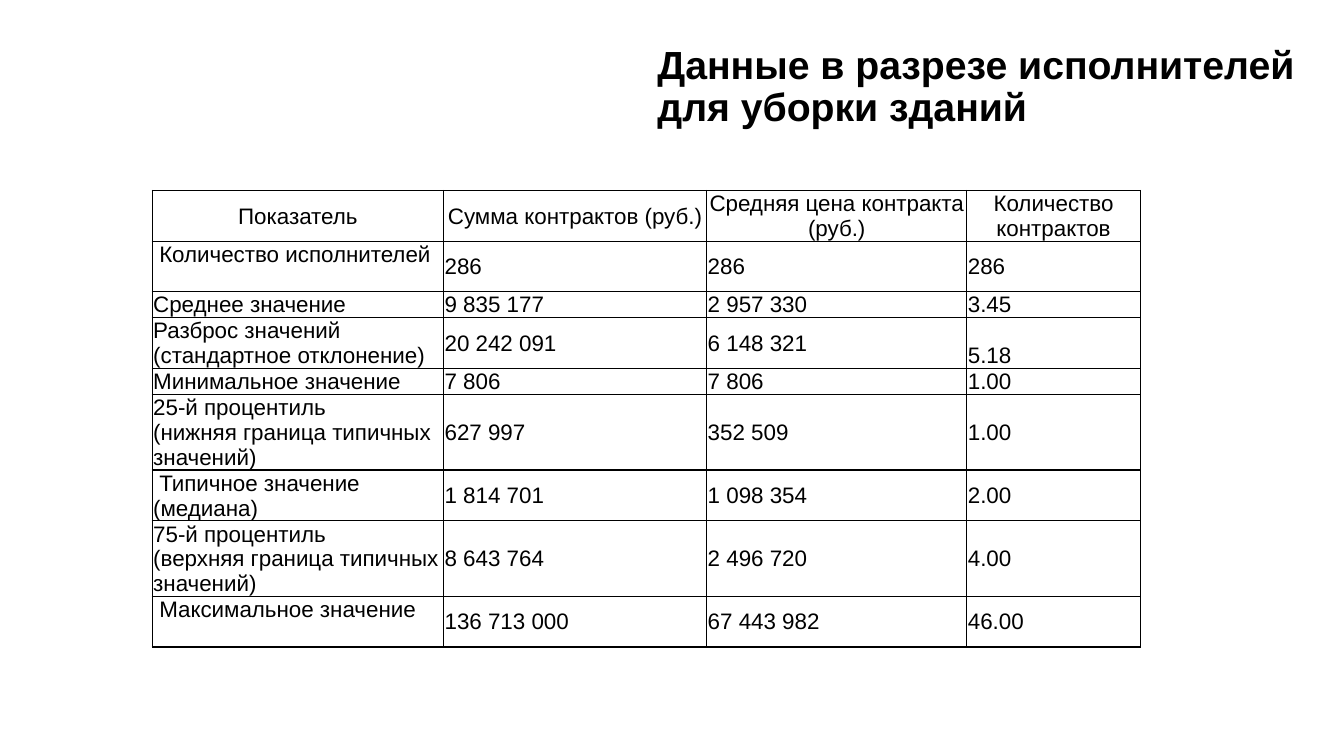
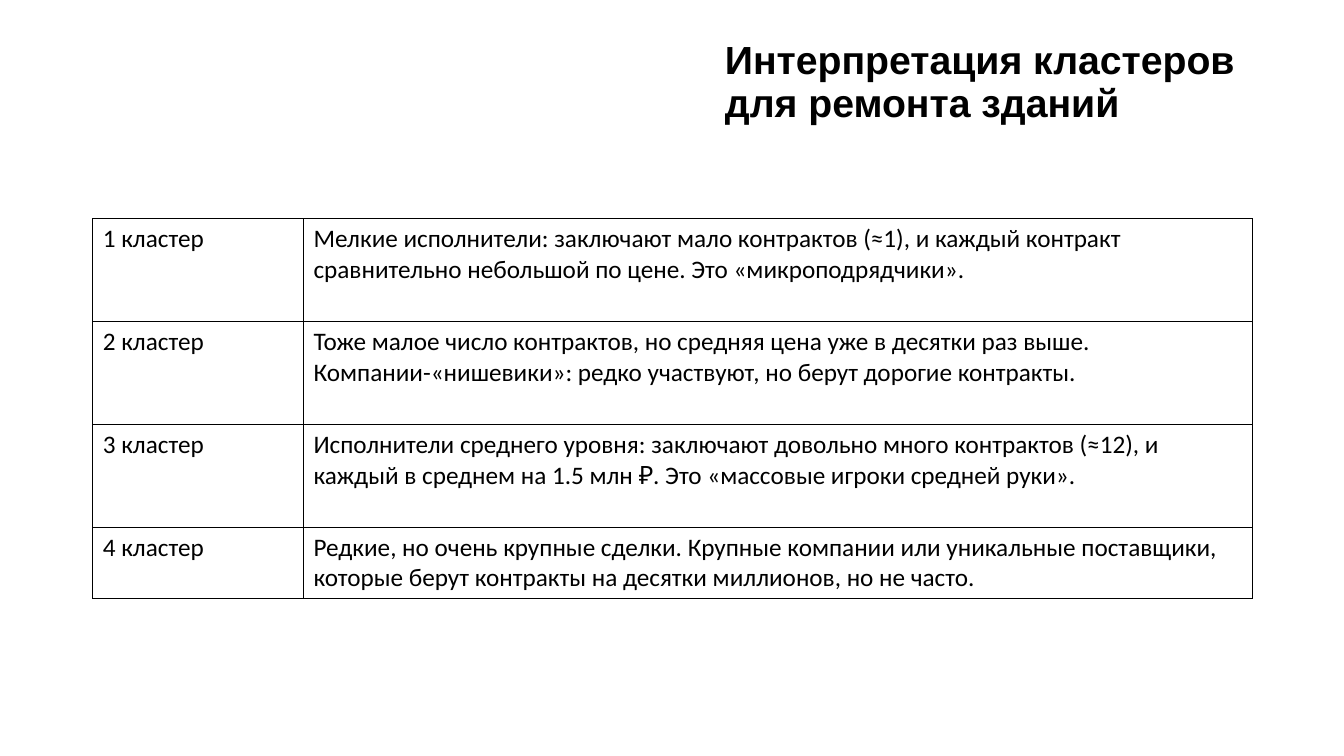
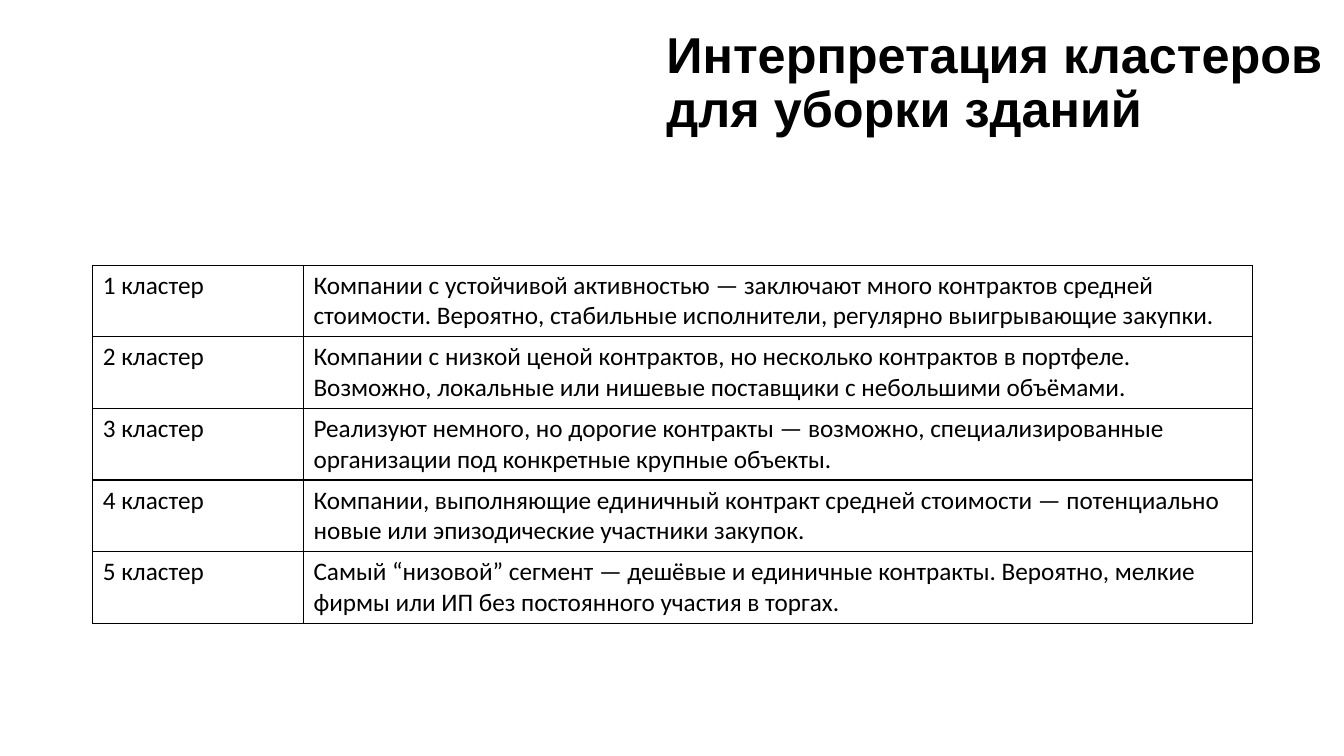
import lxml.etree
import pptx
import pptx.dml.color
import pptx.enum.text
import pptx.oxml
import pptx.oxml.ns
import pptx.util

Inches = pptx.util.Inches
Pt = pptx.util.Pt
Anchor = pptx.enum.text.MSO_ANCHOR
Align = pptx.enum.text.PP_ALIGN

INK = "000000"
TITLE_FONT = {"name": "Arial", "bold": True}
METRIC_FONT = {"name": "Arial", "size": Pt(16)}
CLUSTER_FONT = {"name": "Calibri", "size": Pt(18)}
TIGHT_MARGINS = {
    "margin_left": Inches(0.01),
    "margin_right": Inches(0.01),
    "margin_top": Inches(0.01),
    "margin_bottom": 0,
}
METRIC_LINE = 0.25
CLUSTER_LEFT = 0.92
CLUSTER_WIDTHS = [2.09, 9.41]

METRICS = [
    ["Показатель", "Сумма контрактов (руб.)", "Средняя цена контракта (руб.)", "Количество контрактов"],
    ["Количество исполнителей", "286", "286", "286"],
    ["Среднее значение", "9 835 177", "2 957 330", "3.45"],
    ["Разброс значений\n(стандартное отклонение)", "20 242 091", "6 148 321", "5.18"],
    ["Минимальное значение", "7 806", "7 806", "1.00"],
    ["25-й процентиль\n(нижняя граница типичных значений)", "627 997", "352 509", "1.00"],
    ["Типичное значение (медиана)", "1 814 701", "1 098 354", "2.00"],
    ["75-й процентиль\n(верхняя граница типичных значений)", "8 643 764", "2 496 720", "4.00"],
    ["Максимальное значение", "136 713 000", "67 443 982", "46.00"],
]
METRIC_LINES = [2, 2, 1, 2, 1, 3, 2, 3, 2]
METRIC_ANCHORS = {(1, 0): Anchor.TOP, (8, 0): Anchor.TOP, (3, 3): Anchor.BOTTOM}
INDENTED_METRICS = [1, 6, 8]

REPAIR_CLUSTERS = [
    "Мелкие исполнители: заключают мало контрактов (≈1), и каждый контракт сравнительно небольшой по цене. Это «микроподрядчики».",
    "Тоже малое число контрактов, но средняя цена уже в десятки раз выше. Компании-«нишевики»: редко участвуют, но берут дорогие контракты.",
    "Исполнители среднего уровня: заключают довольно много контрактов (≈12), и каждый в среднем на 1.5 млн ₽. Это «массовые игроки средней руки».",
    "Редкие, но очень крупные сделки. Крупные компании или уникальные поставщики, которые берут контракты на десятки миллионов, но не часто.",
]
CLEANING_CLUSTERS = [
    "Компании с устойчивой активностью — заключают много контрактов средней стоимости. Вероятно, стабильные исполнители, регулярно выигрывающие закупки.",
    "Компании с низкой ценой контрактов, но несколько контрактов в портфеле. Возможно, локальные или нишевые поставщики с небольшими объёмами.",
    "Реализуют немного, но дорогие контракты — возможно, специализированные организации под конкретные крупные объекты.",
    "Компании, выполняющие единичный контракт средней стоимости — потенциально новые или эпизодические участники закупок.",
    "Самый “низовой” сегмент — дешёвые и единичные контракты. Вероятно, мелкие фирмы или ИП без постоянного участия в торгах.",
]


def rgb(value):
    """Turn a hex string into a colour."""
    return pptx.dml.color.RGBColor.from_string(value)


def apply(target, values):
    """Set each attribute of the target from a dict."""
    for attribute, value in values.items():
        setattr(target, attribute, value)


def style_font(font, values):
    """Apply font values in the ink colour."""
    apply(font, values)
    font.color.rgb = rgb(INK)


def add_titled_slide(deck, heading, box, size):
    """Add a title-only slide with its heading in the given box."""
    slide = deck.slides.add_slide(deck.slide_layouts[5])
    title = slide.shapes.title
    apply(title, dict(zip(("left", "top", "width", "height"), map(Inches, box))))
    frame = title.text_frame
    frame.text = heading
    apply(frame, {
        "word_wrap": True,
        "auto_size": pptx.enum.text.MSO_AUTO_SIZE.NONE,
        "vertical_anchor": Anchor.MIDDLE,
    })
    paragraph = frame.paragraphs[0]
    apply(paragraph, {"alignment": Align.LEFT, "line_spacing": 0.9})
    for run in paragraph.runs:
        style_font(run.font, {**TITLE_FONT, "size": Pt(size)})
    return slide


def outline_cell(cell):
    """Draw a one-point line on every side of a cell."""
    properties = cell._tc.get_or_add_tcPr()
    for side in ("lnL", "lnR", "lnT", "lnB"):
        border = lxml.etree.SubElement(properties, pptx.oxml.ns.qn(f"a:{side}"), w=str(Pt(1)))
        fill = lxml.etree.SubElement(border, pptx.oxml.ns.qn("a:solidFill"))
        lxml.etree.SubElement(fill, pptx.oxml.ns.qn("a:srgbClr"), val=INK)


def add_grid(slide, left, top, widths, heights, rows, font, cell_format):
    """Add a plain outlined table and return it."""
    frame = slide.shapes.add_table(
        len(rows), len(widths), Inches(left), Inches(top), Inches(sum(widths)), Inches(sum(heights))
    )
    table = frame.table
    apply(table, {"first_row": False, "horz_banding": False})
    for column, width in zip(table.columns, widths):
        column.width = Inches(width)
    for row, height, texts in zip(table.rows, heights, rows):
        row.height = Inches(height)
        for cell, text in zip(row.cells, texts):
            cell.text = text
            apply(cell, cell_format)
            outline_cell(cell)
            cell.fill.background()
            for paragraph in cell.text_frame.paragraphs:
                for run in paragraph.runs:
                    style_font(run.font, font)
    return table


def add_metrics_slide(deck, heading, title_box, left, top, widths):
    """Add the slide of contract statistics."""
    slide = add_titled_slide(deck, heading, title_box, 28)
    heights = [lines * METRIC_LINE for lines in METRIC_LINES]
    cell_format = {**TIGHT_MARGINS, "vertical_anchor": Anchor.MIDDLE}
    table = add_grid(slide, left, top, widths, heights, METRICS, METRIC_FONT, cell_format)
    for cell in table.rows[0].cells:
        cell.text_frame.paragraphs[0].alignment = Align.CENTER
    for position, anchor in METRIC_ANCHORS.items():
        table.cell(*position).vertical_anchor = anchor
    for row in INDENTED_METRICS:
        paragraph = table.cell(row, 0).text_frame.paragraphs[0]
        paragraph._p.get_or_add_pPr().set("indent", str(Inches(0.06)))


def add_cluster_slide(deck, heading, title_box, title_size, top, heights, descriptions):
    """Add a slide that describes numbered clusters."""
    slide = add_titled_slide(deck, heading, title_box, title_size)
    rows = [[f"{number} кластер", text] for number, text in enumerate(descriptions, 1)]
    add_grid(slide, CLUSTER_LEFT, top, CLUSTER_WIDTHS, heights, rows, CLUSTER_FONT,
             {"vertical_anchor": Anchor.TOP})


def main():
    """Build and save the deck."""
    deck = pptx.Presentation()
    apply(deck, {"slide_width": Inches(13.33), "slide_height": Inches(7.5)})
    add_metrics_slide(deck, "Данные в разрезе исполнителей для уборки зданий",
                      (6.42, 0.32, 6.73, 1.1), 1.51, 1.89, [2.89, 2.61, 2.58, 1.72])
    add_cluster_slide(deck, "Интерпретация кластеров\vдля ремонта зданий",
                      (7.09, 0.34, 6.92, 0.97), 28, 2.17, [1.02] * 3 + [0.71], REPAIR_CLUSTERS)
    add_cluster_slide(deck, "Интерпретация кластеров\vдля уборки зданий",
                      (6.51, 0.11, 6.83, 1.45), 36, 2.63, [0.71] * 5, CLEANING_CLUSTERS)
    deck.save("out.pptx")


if __name__ == "__main__":
    main()
